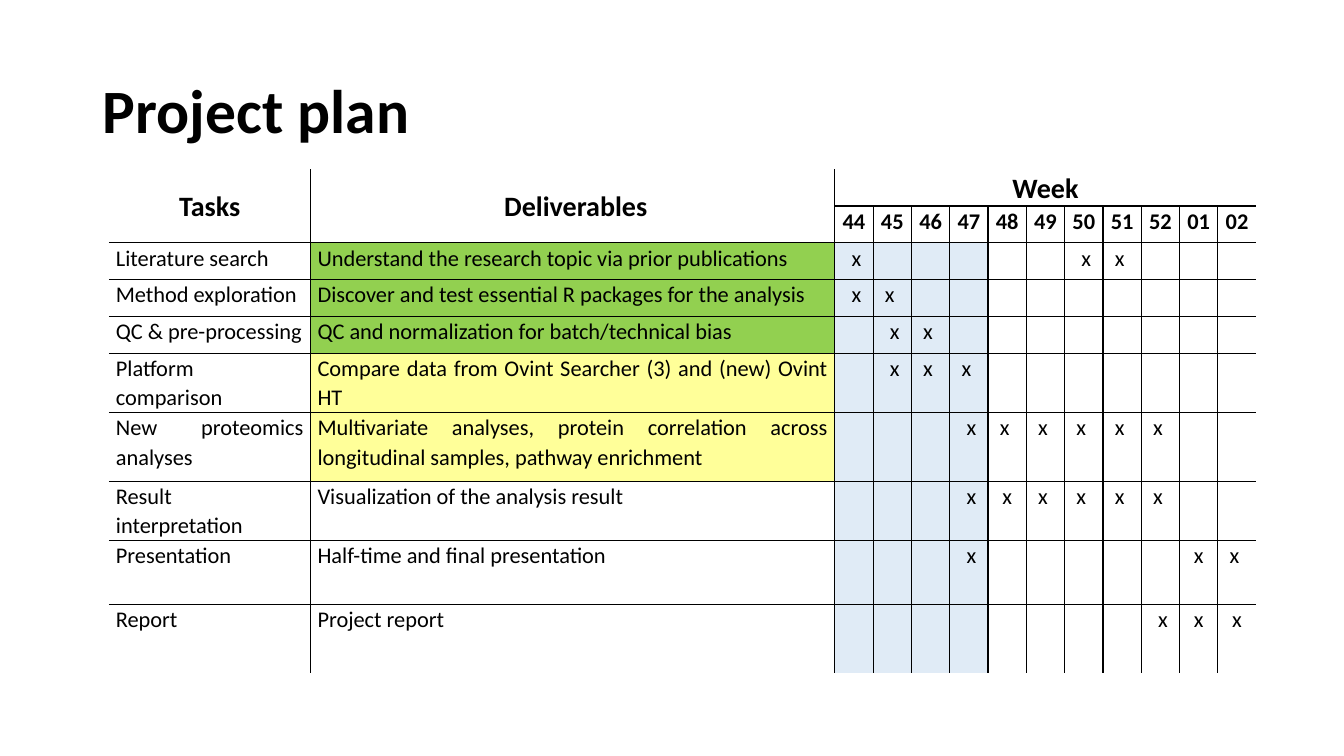
from lxml import etree
from pptx import Presentation
from pptx import util as u
from pptx.dml.color import RGBColor
from pptx.enum import text
from pptx.oxml import ns

BLACK, GREEN, YELLOW, BLUE = "000000", "92D050", "FFFF99", "E0EBF6"
NO_STYLE = "{2D5ABB26-0587-4C30-8999-92F81FD0307C}"
WEEKS = ["44", "45", "46", "47", "48", "49", "50", "51", "52", "01", "02"]
PAST = 4
COLS = [2, 5.2] + [0.38] * len(WEEKS)
ROWS = [0.36] + [0.365] * 4 + [0.59, 0.68, 0.59, 0.63, 0.68]
SIDE = 0.07
NUDGE = {"r": (0.05, 0), "c": (0, 0), "l": (0, 0.05)}
TASKS = [
    ("Literature search", "Understand the research topic via prior publications",
     GREEN, "r.....rl..."),
    ("Method exploration", "Discover and test essential R packages for the analysis",
     GREEN, "rl........."),
    ("QC & pre-processing", "QC and normalization for batch/technical bias",
     GREEN, ".rl........"),
    ("Platform comparison", "Compare data from Ovint Searcher (3) and (new) Ovint HT",
     YELLOW, ".rll......."),
    ("New proteomics analyses",
     "Multivariate analyses, protein correlation across "
     "longitudinal samples, pathway enrichment",
     YELLOW, "...rlllll.."),
    ("Result interpretation", "Visualization of the analysis result",
     None, "...rcllll.."),
    ("Presentation", "Half-time and final presentation",
     None, "...r.....cl"),
    ("Report", "Project report", None, "........rcc"),
]


def color(code):
    """Turn a hex string into a colour."""
    return RGBColor.from_string(code)


def write(frame, words, size, align, bold=False, space=1.07):
    """Put one formatted paragraph into a text frame."""
    frame.text = words
    para = frame.paragraphs[0]
    para.alignment, para.line_spacing = align, space
    look = {"name": "Calibri", "size": u.Pt(size), "bold": bold}
    for key, value in look.items():
        setattr(para.font, key, value)
    para.font.color.rgb = color(BLACK)


def fill(cell, words="", size=16, align=text.PP_ALIGN.CENTER, bold=False,
         back=None, mid=False, nudge=(0, 0)):
    """Set the text, insets and background of a cell."""
    write(cell.text_frame, words, size, align, bold)
    look = {
        "margin_left": u.Inches(SIDE + nudge[0]),
        "margin_right": u.Inches(SIDE + nudge[1]),
        "margin_top": 0,
        "margin_bottom": 0,
        "vertical_anchor": text.MSO_ANCHOR.MIDDLE if mid else text.MSO_ANCHOR.TOP,
    }
    for key, value in look.items():
        setattr(cell, key, value)
    if back:
        cell.fill.solid()
        cell.fill.fore_color.rgb = color(back)
    else:
        cell.fill.background()


def edge(cell, sides):
    """Draw the wanted sides of a cell and hide the others."""
    props = cell._tc.get_or_add_tcPr()
    for spot, (tag, shown) in enumerate(sides.items()):
        line = etree.Element(ns.qn("a:" + tag), w=str(u.Pt(1)))
        if shown:
            paint = etree.SubElement(line, ns.qn("a:solidFill"))
            etree.SubElement(paint, ns.qn("a:srgbClr"), val=BLACK)
        else:
            etree.SubElement(line, ns.qn("a:noFill"))
        props.insert(spot, line)


def rule(grid):
    """Rule all inner edges and leave the outside open."""
    for row in range(len(ROWS)):
        for col in range(len(COLS)):
            cell = grid.cell(row, col)
            if not cell.is_spanned:
                edge(cell, {
                    "lnL": col > 0,
                    "lnR": col + cell.span_width < len(COLS),
                    "lnT": row > 0,
                    "lnB": row + cell.span_height < len(ROWS),
                })


def head(grid):
    """Fill the two header rows."""
    last = len(COLS) - 1
    for words, col, end, mid, nudge in (
            ("Tasks", 0, (1, 0), True, (0, 0)),
            ("Deliverables", 1, (1, 1), True, (0.06, 0)),
            ("Week", 2, (0, last), False, (0, 0))):
        cell = grid.cell(0, col)
        cell.merge(grid.cell(*end))
        fill(cell, words, 20, bold=True, mid=mid, nudge=nudge)
    for col, week in enumerate(WEEKS, 2):
        fill(grid.cell(1, col), week, bold=True)


def body(grid):
    """Fill one row for each task, with its week marks."""
    both = text.PP_ALIGN.JUSTIFY
    for row, (task, goal, back, marks) in enumerate(TASKS, 2):
        fill(grid.cell(row, 0), task, align=both)
        fill(grid.cell(row, 1), goal, align=both, back=back)
        for num, mark in enumerate(marks):
            fill(grid.cell(row, num + 2), "x" if mark in NUDGE else "",
                 back=BLUE if num < PAST else None,
                 nudge=NUDGE.get(mark, (0, 0)))


def plan(slide):
    """Add the plan table."""
    grid = slide.shapes.add_table(
        len(ROWS), len(COLS), u.Inches(1.08), u.Inches(1.68),
        u.Inches(sum(COLS)), u.Inches(sum(ROWS))).table
    grid.first_row = grid.horz_banding = False
    grid._tbl.tblPr.find(ns.qn("a:tableStyleId")).text = NO_STYLE
    for col, width in zip(grid.columns, COLS):
        col.width = u.Inches(width)
    for row, height in zip(grid.rows, ROWS):
        row.height = u.Inches(height)
    head(grid)
    body(grid)
    rule(grid)


def title(slide, words):
    """Place and format the slide title."""
    shape = slide.shapes.title
    place = {"left": 0.92, "top": 0.4, "width": 11.5, "height": 1.45}
    for key, value in place.items():
        setattr(shape, key, u.Inches(value))
    shape.text_frame.vertical_anchor = text.MSO_ANCHOR.MIDDLE
    write(shape.text_frame, words, 44, text.PP_ALIGN.LEFT, True, 0.9)


def main():
    """Build and save the slide."""
    deck = Presentation()
    deck.slide_width, deck.slide_height = u.Inches(13.33), u.Inches(7.5)
    slide = deck.slides.add_slide(deck.slide_layouts[5])
    title(slide, "Project plan")
    plan(slide)
    deck.save("out.pptx")


if __name__ == "__main__":
    main()
